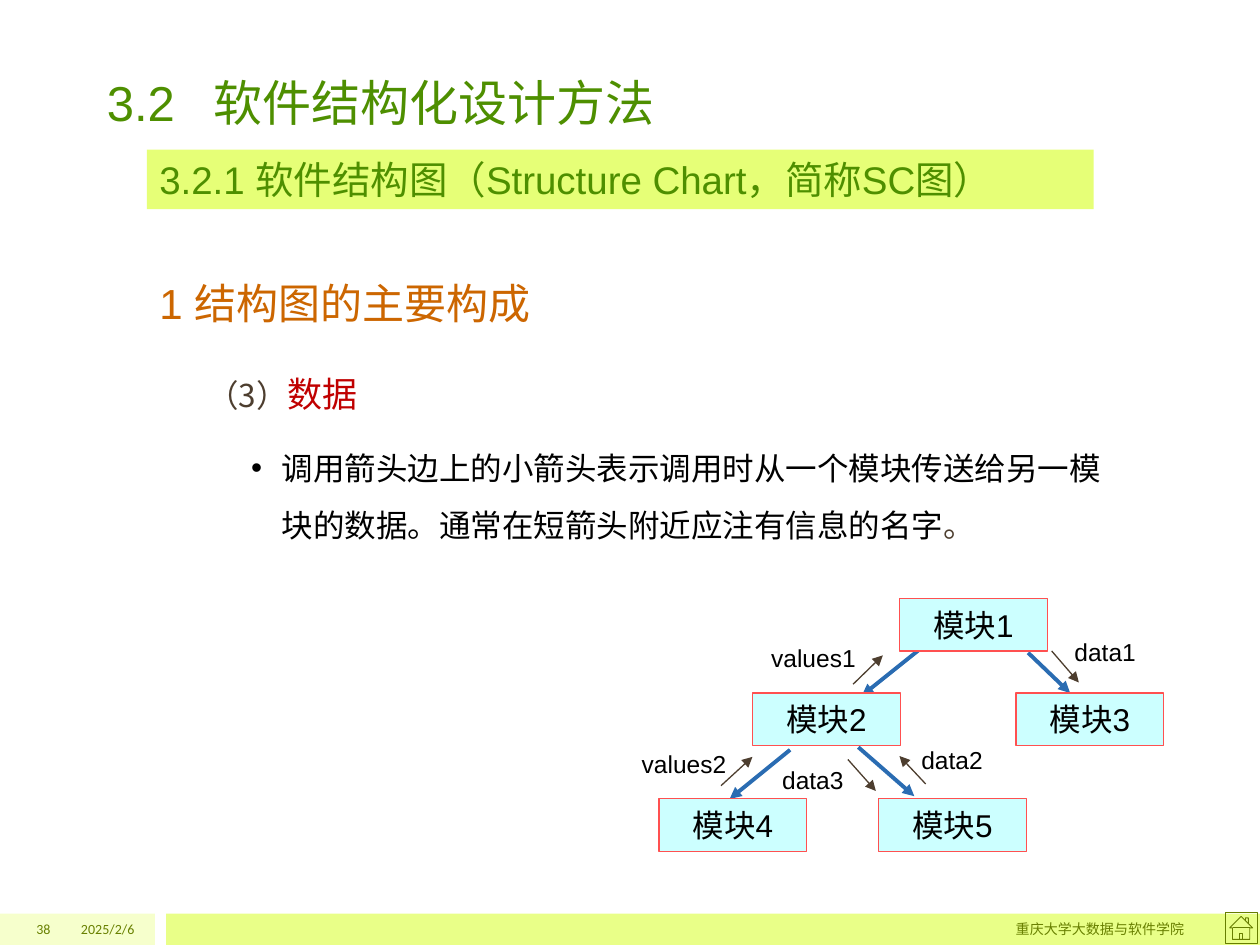
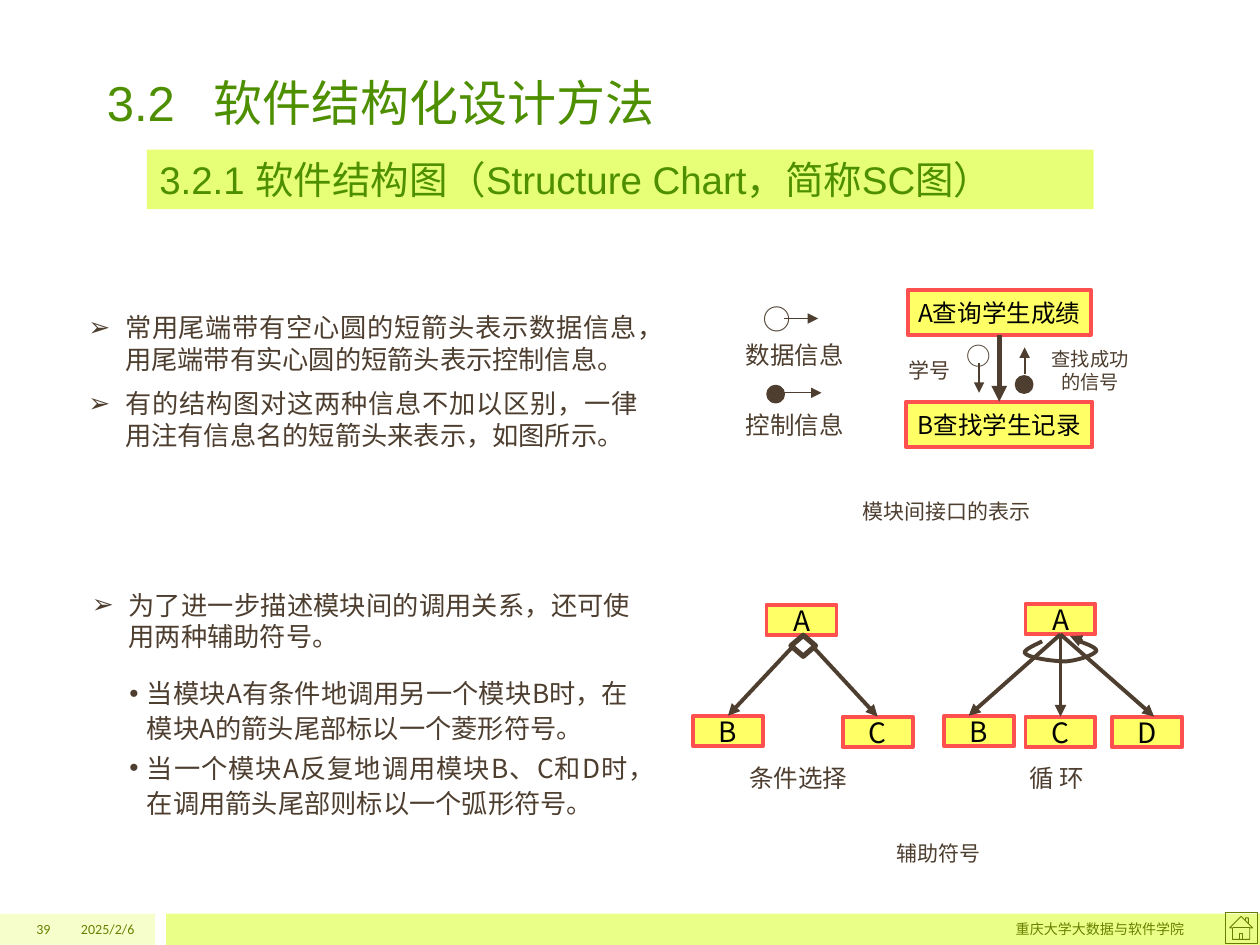
from lxml import etree
from pptx import Presentation
from pptx.dml.color import RGBColor
from pptx.enum.shapes import MSO_CONNECTOR, MSO_SHAPE
from pptx.enum.text import MSO_ANCHOR, PP_ALIGN
from pptx.oxml.ns import qn
from pptx.util import Pt

RECTANGLE, ELLIPSE = MSO_SHAPE.RECTANGLE, MSO_SHAPE.OVAL
DIAMOND, HOME = MSO_SHAPE.FLOWCHART_DECISION, MSO_SHAPE.ACTION_BUTTON_HOME
STRAIGHT = MSO_CONNECTOR.STRAIGHT
TOP, MIDDLE, BOTTOM = MSO_ANCHOR.TOP, MSO_ANCHOR.MIDDLE, MSO_ANCHOR.BOTTOM
LEFT, CENTER, RIGHT = PP_ALIGN.LEFT, PP_ALIGN.CENTER, PP_ALIGN.RIGHT
JUSTIFY = PP_ALIGN.JUSTIFY
TOP_SIDE, BOTTOM_SIDE = 0, 2

GREEN = RGBColor(0x4E, 0x8F, 0x00)
OLIVE = RGBColor(0x68, 0x80, 0x00)
HOME_LINE = RGBColor(0x67, 0x7E, 0x00)
PALE_LIME = RGBColor(0xF6, 0xFF, 0xCC)
LIME = RGBColor(0xE9, 0xFF, 0x88)
BAND_LIME = RGBColor(0xE6, 0xFF, 0x77)
ORANGE = RGBColor(0xCC, 0x66, 0x00)
DARK_RED = RGBColor(0xC0, 0x00, 0x00)
BROWN = RGBColor(0x4D, 0x3E, 0x2F)
BLACK = RGBColor(0x00, 0x00, 0x00)
BLUE = RGBColor(0x2A, 0x6C, 0xB2)
CYAN = RGBColor(0xCC, 0xFF, 0xFF)
YELLOW = RGBColor(0xFF, 0xFF, 0x66)
CORAL = RGBColor(0xFF, 0x50, 0x50)
NOTO, ARIAL, CALIBRI = "Noto Sans CJK SC", "Arial", "Calibri"


def add_box(page, place, paragraphs=(), size=14, color=BROWN, font=NOTO, align=LEFT,
            anchor=TOP, kind=None, fill=None, line=None, weight=2.25, wrap=True):
    """Add a text box, or a preset shape if kind is given.

    Each paragraph is a list of (text, size, color) spans or a plain string.
    """
    place = [Pt(length) for length in place]
    if kind is None:
        box = page.shapes.add_textbox(*place)
    else:
        box = page.shapes.add_shape(kind, *place)
        box.shadow.inherit = False
        if fill is None:
            box.fill.background()
        else:
            box.fill.solid()
            box.fill.fore_color.rgb = fill
        if line is None:
            box.line.fill.background()
        else:
            box.line.color.rgb = line
            box.line.width = Pt(weight)
    frame = box.text_frame
    frame.word_wrap = wrap
    frame.vertical_anchor = anchor
    for number, spans in enumerate(paragraphs):
        para = frame.paragraphs[0] if number == 0 else frame.add_paragraph()
        para.alignment = align
        if isinstance(spans, str):
            spans = [(spans, size, color)]
        for text, span_size, span_color in spans:
            span = para.add_run()
            span.text = text
            span.font.size = Pt(span_size)
            span.font.color.rgb = span_color
            span.font.name = font
            east_asian = etree.SubElement(span.font._element, qn("a:ea"))
            east_asian.set("typeface", NOTO)
    return box


def add_arrow(page, start, end, color=BROWN, weight=0.75):
    arrow = page.shapes.add_connector(STRAIGHT, *[Pt(length) for length in start + end])
    arrow.line.color.rgb = color
    arrow.line.width = Pt(weight)
    etree.SubElement(arrow.line._get_or_add_ln(), qn("a:tailEnd")).set("type", "triangle")
    etree.SubElement(arrow._element.spPr, qn("a:effectLst"))
    return arrow


deck = Presentation()
deck.slide_width, deck.slide_height = Pt(720), Pt(540)

# Footer, title and section band on every page
for page_number in ("38", "39"):
    page = deck.slides.add_slide(deck.slide_layouts[6])
    add_box(page, (0, 522, 88.5, 18), kind=RECTANGLE, fill=PALE_LIME)
    add_box(page, (95, 522, 625, 18), kind=RECTANGLE, fill=LIME)
    add_box(page, (700, 521.5, 18.5, 17.5), kind=HOME, line=HOME_LINE, weight=0.5)
    for left, width, text in ((36, 48, "2025/2/6"), (144, 540, "重庆大学大数据与软件学院"),
                              (0, 36, page_number)):
        add_box(page, (left, 522, width, 18), [text], 8, OLIVE, CALIBRI, RIGHT, MIDDLE)
    title = add_box(page, (54, 27.5, 613, 51), ["3.2\t软件结构化设计方法"], 28, GREEN, ARIAL,
                    anchor=BOTTOM)
    tabs = etree.SubElement(title.text_frame.paragraphs[0]._p.get_or_add_pPr(), qn("a:tabLst"))
    etree.SubElement(tabs, qn("a:tab"), pos=str(Pt(61)), algn="l")
    add_box(page, (84, 85.5, 541, 34), ["3.2.1 软件结构图（Structure Chart，简称SC图）"],
            22, GREEN, ARIAL, kind=RECTANGLE, fill=BAND_LIME)
data_page, symbol_page = deck.slides

# Data passed between modules
heading = add_box(data_page, (84, 140.5, 526, 51), ["1 结构图的主要构成"], 24, ORANGE, ARIAL)
heading.text_frame.paragraphs[0].line_spacing = 1.5
data_text = add_box(data_page, (111.5, 204.5, 526, 117), [
    [("（3）", 18, BROWN), ("数据", 20, DARK_RED)],
    [("调用箭头边上的小箭头表示调用时从一个模块传送给另一模块的数据。"
      "通常在短箭头附近应注有信息的名字", 18, BLACK), ("。", 18, BROWN)]])
data_text.text_frame.paragraphs[0].line_spacing = 1.2

for start, end in (((525, 371.5), (492.5, 397.5)), ((587.5, 373), (611.5, 396)),
                   ((451.5, 428.5), (417, 456.5)), ((490.5, 427), (522.5, 455))):
    add_arrow(data_page, start, end, BLUE, 2.25)
for start, end in (((487.5, 391), (504.5, 374.5)), ((601, 372), (616.5, 390)),
                   ((529, 448), (514, 432)), ((412, 449), (430, 432.5)),
                   ((484.5, 434), (500.5, 452))):
    add_arrow(data_page, start, end)
module_spots = ((514, 342), (430, 396), (580.5, 396), (376.5, 456.5), (502, 456.5))
for number, (left, top) in enumerate(module_spots, 1):
    add_box(data_page, (left, top, 84.5, 30), [f"模块{number}"], 18, BLACK, ARIAL, CENTER,
            MIDDLE, RECTANGLE, CYAN, CORAL, 0.75, wrap=False)
for text, left, top, width, align in (
        ("values1", 420.5, 364.5, 73.5, RIGHT), ("data1", 609, 361, 60, LEFT),
        ("values2", 346.5, 425, 73.5, RIGHT), ("data2", 521.5, 422.5, 60, LEFT),
        ("data3", 427, 434, 60, RIGHT)):
    label = add_box(data_page, (left, top, width, 22), [text], 14, BLACK, ARIAL, align)
    label.text_frame.margin_left = label.text_frame.margin_right = Pt(5)
    label.text_frame.margin_top = Pt(3)

# Explanations of the symbols
interface_text = add_box(symbol_page, (45.5, 175, 324, 109), [
    "常用尾端带有空心圆的短箭头表示数据信息，用尾端带有实心圆的短箭头表示控制信息。",
    "有的结构图对这两种信息不加以区别，一律用注有信息名的短箭头来表示，如图所示。"],
    15, align=JUSTIFY)
auxiliary_text = add_box(symbol_page, (47.5, 333.5, 318, 36), [
    "为了进一步描述模块间的调用关系，还可使用两种辅助符号。"], 15, align=JUSTIFY)
rule_text = add_box(symbol_page, (69, 382.5, 295, 88), [
    "当模块A有条件地调用另一个模块B时，在模块A的箭头尾部标以一个菱形符号。",
    "当一个模块A反复地调用模块B、C和D时，在调用箭头尾部则标以一个弧形符号。"],
    15, align=JUSTIFY)
for box in (interface_text, auxiliary_text, rule_text):
    box.text_frame.margin_left = box.text_frame.margin_right = Pt(5)
    box.text_frame.margin_top = Pt(3)

# Bullets: paragraphs, sign, left margin, hanging indent, line spacing, space before
for paragraphs, sign, margin, hang, spacing, before in (
        (data_text.text_frame.paragraphs[1:], "•", 42.5, 17.5, 1.5, 9),
        (interface_text.text_frame.paragraphs, "➢", 21, 21, 1, 7.5),
        (auxiliary_text.text_frame.paragraphs, "➢", 21, 21, 1, 3),
        (rule_text.text_frame.paragraphs, "•", 10, 10, 1.1, 3)):
    for number, para in enumerate(paragraphs):
        properties = para._p.get_or_add_pPr()
        properties.set("marL", str(Pt(margin)))
        properties.set("indent", str(-Pt(hang)))
        etree.SubElement(properties, qn("a:buFont"), typeface=ARIAL)
        etree.SubElement(properties, qn("a:buChar"), char=sign)
        para.line_spacing = spacing
        if number or box is not rule_text or sign == "•" and margin > 40:
            para.space_before = Pt(before if number or margin > 40 else 0)

# Interface between two modules
query, search = [
    add_box(symbol_page, (571 - width / 2, top, width, 26), [text], 14, BLACK, NOTO, CENTER,
            MIDDLE, RECTANGLE, YELLOW, CORAL, wrap=False)
    for text, top, width in (("A查询学生成绩", 165.5, 104.5), ("B查找学生记录", 229.5, 106.5))]
call = add_arrow(symbol_page, (571, 191.5), (571, 229.5), weight=3)
call.begin_connect(query, BOTTOM_SIDE)
call.end_connect(search, TOP_SIDE)
for left, top in ((581, 215.5), (439, 221)):
    add_box(symbol_page, (left, top, 8.5, 8.5), kind=ELLIPSE, fill=BROWN, line=BROWN)
for start, end, weight in (((585.5, 214), (585.5, 198.5), 1.25),
                           ((559.5, 207.5), (559.5, 224.5), 1.25),
                           ((448, 182), (467.5, 182), 0.75), ((447, 224.5), (469.5, 224.5), 0.75)):
    add_arrow(symbol_page, start, end, weight=weight)
add_box(symbol_page, (542, 191.5, 34.5, 24.5), ["○"], 14, align=CENTER)
add_box(symbol_page, (432, 173, 23, 26.5), ["○"], 16).rotation = 270.8

# Captions and small labels
for text, left, top, width, size, align in (
        ("学号", 512, 201, 39.5, 12, LEFT), ("查找成功的信号", 593.5, 195, 59, 11, CENTER),
        ("数据信息", 419, 191, 78, 14, LEFT), ("控制信息", 419, 231, 78, 14, LEFT),
        ("模块间接口的表示", 486, 281.5, 198, 12, LEFT),
        ("条件选择", 421, 432.5, 93.5, 14, LEFT), ("循 环", 581, 432.5, 83, 14, LEFT),
        ("辅助符号", 505.5, 476.5, 160, 12, LEFT)):
    add_box(symbol_page, (left, top, width, 24), [text], size, align=align)

# Conditional call and loop call
choice_a, choice_b, choice_c, loop_a, loop_b, loop_c, loop_d = [
    add_box(symbol_page, (left, top, 40, 17.5), [letter], 16, BLACK, NOTO, CENTER, MIDDLE,
            RECTANGLE, YELLOW, CORAL, wrap=False)
    for letter, left, top in (("A", 438, 345.5), ("B", 396, 409), ("C", 481.5, 409.5),
                              ("A", 586, 345), ("B", 539.5, 409), ("C", 586, 409.5),
                              ("D", 635.5, 409.5))]
for start, target in (((453, 369.5), choice_b), ((464.5, 369.5), choice_c)):
    add_arrow(symbol_page, start, (500, 409), weight=2.25).end_connect(target, TOP_SIDE)
add_box(symbol_page, (452, 363, 14, 12), kind=DIAMOND, line=BROWN, weight=3)
for end in ((553.5, 409), (606, 409.5), (659.5, 409.5)):
    branch = add_arrow(symbol_page, (606, 362.5), end, weight=2.25)
    branch.begin_connect(loop_a, BOTTOM_SIDE)
    if end[0] == 606:
        branch.end_connect(loop_c, TOP_SIDE)
add_arrow(symbol_page, (618.5, 366.5), (611.5, 363.5), weight=2.25)

# Loop arc, sampled from four cubic curves that share their end points
arc = [(595.5, 366.5), (589.5, 369.5), (584, 372), (586, 373.5), (588, 376), (602.5, 378),
       (609, 378), (615.5, 377.5), (625, 374.5), (626.5, 372), (627, 370), (618.5, 367), (616.5, 366.5)]
steps = 12
points = []
for first in range(0, len(arc) - 1, 3):
    for step in range(1, steps + 1):
        t = step / steps
        weights = ((1 - t) ** 3, 3 * t * (1 - t) ** 2, 3 * t ** 2 * (1 - t), t ** 3)
        points.append([Pt(sum(weight * point[axis] for weight, point
                              in zip(weights, arc[first:first + 4]))) for axis in (0, 1)])
builder = symbol_page.shapes.build_freeform(Pt(arc[0][0]), Pt(arc[0][1]), scale=1.0)
builder.add_line_segments(points, close=False)
loop_arc = builder.convert_to_shape()
loop_arc.shadow.inherit = False
loop_arc.fill.background()
loop_arc.line.color.rgb = BROWN
loop_arc.line.width = Pt(2.25)

deck.save("out.pptx")
